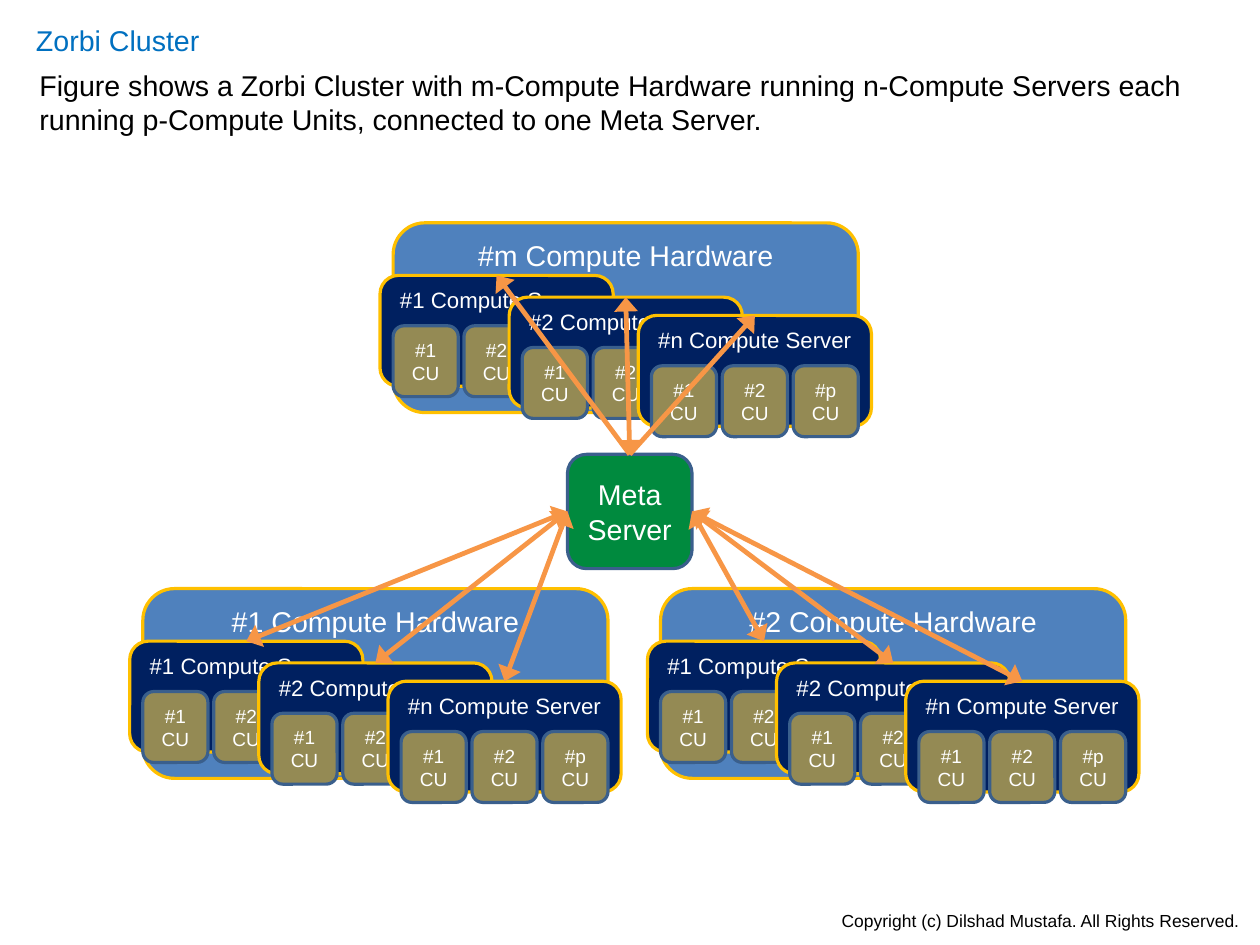
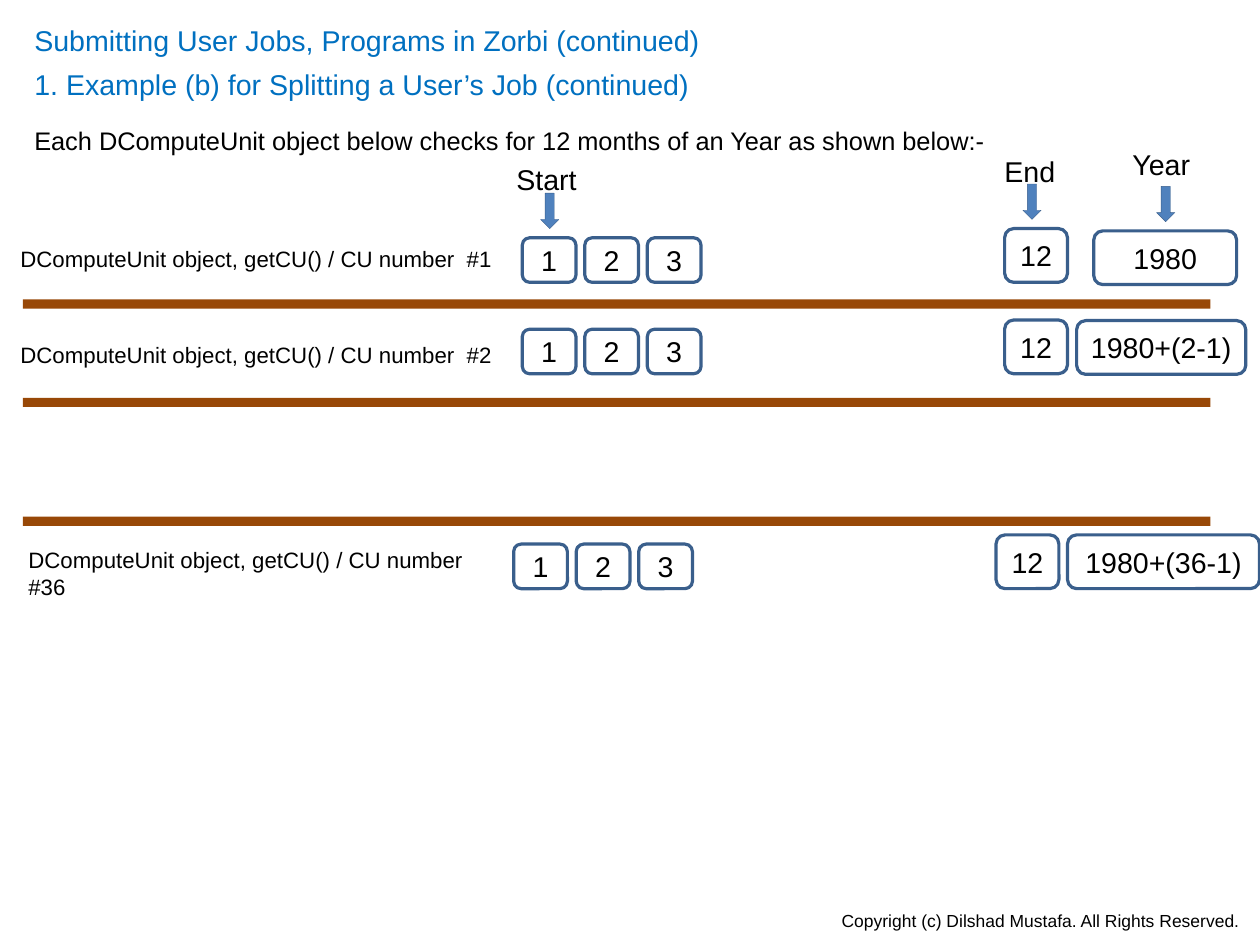
"""Build two slides on a compute cluster and on splitting a job into units."""
from dataclasses import dataclass
from typing import NamedTuple, Optional

from lxml.etree import SubElement
from pptx import Presentation
from pptx.dml.color import RGBColor
from pptx.enum.shapes import MSO_CONNECTOR as Connector, MSO_SHAPE as Preset
from pptx.enum.text import MSO_ANCHOR as Anchor, MSO_AUTO_SIZE as AutoSize, PP_ALIGN as Align
from pptx.oxml.ns import qn
from pptx.util import Emu, Inches, Pt

SLIDE_WIDTH, SLIDE_HEIGHT = Emu(10080625), Emu(7559675)
PITCH = Inches(0.1)


@dataclass(frozen=True)
class Theme:
    """Colours, type sizes and line widths shared by the slides."""
    font: str = "Arial"
    heading: str = "0070C0"
    ink: str = "000000"
    paper: str = "FFFFFF"
    meta: str = "008A3E"
    hardware: str = "4F81BD"
    server: str = "002060"
    unit: str = "948A54"
    gold: str = "FFC000"
    outline: str = "3A5F8C"
    link: str = "F79646"
    divider: str = "984807"
    large: float = 18
    medium: float = 16
    label: float = 14
    small: float = 12
    footer: float = 11
    stroke: float = 2
    hairline: float = 0.25
    link_width: float = 3


THEME = Theme()


class Box(NamedTuple):
    """A place on the grid, in columns and rows."""
    col: float
    row: float
    cols: float
    rows: float

    def emu(self) -> list[Emu]:
        """Return left, top, width and height."""
        return [Emu(round(cells * PITCH)) for cells in self]


class Style(NamedTuple):
    """The look of a shape and its text."""
    fill: Optional[str]
    line: Optional[str]
    ink: str = THEME.paper
    size: float = THEME.large
    anchor: Anchor = Anchor.MIDDLE
    width: float = THEME.stroke


META = Style(THEME.meta, THEME.outline)
HARDWARE = Style(THEME.hardware, THEME.gold, anchor=Anchor.TOP)
SERVER = Style(THEME.server, THEME.gold, size=THEME.label, anchor=Anchor.TOP)
UNIT = Style(THEME.unit, THEME.outline, size=THEME.small)
CELL = Style(None, THEME.outline, THEME.ink)
POINTER = Style(THEME.hardware, THEME.outline, width=THEME.hairline)
DIVIDER = Style(THEME.divider, None)


class Line(NamedTuple):
    """One paragraph of a text."""
    text: str
    size: float = THEME.large
    color: str = THEME.ink
    before: float = 0


class Server(NamedTuple):
    """A compute server, placed relative to its hardware."""
    name: str
    col: float
    row: float
    units: tuple[str, ...]


class Hardware(NamedTuple):
    """A compute hardware and the side of the meta server it joins."""
    name: str
    col: float
    row: float
    meta_side: int


class Marker(NamedTuple):
    """A column heading with an arrow below it."""
    text: str
    box: Box
    arrow_col: float
    arrow_row: float


class JobRow(NamedTuple):
    """One compute unit object with its months and year."""
    number: str
    label: Box
    month_col: float
    month_row: float
    year: str
    year_box: Box


SERVERS = (
    Server("#1", -1.15, 4.6, ("#1", "#2")),
    Server("#2", 10.15, 6.5, ("#1", "#2")),
    Server("#n", 21.45, 8.1, ("#1", "#2", "#p")),
)
CLUSTER = (
    Hardware("#m", 34.4, 19.5, 0),
    Hardware("#2", 57.8, 51.5, 3),
    Hardware("#1", 12.5, 51.5, 1),
)
MARKERS = (
    Marker("Start", Box(44.2, 13.7, 7.3, 4), 47.3, 16.9),
    Marker("End", Box(86.9, 13, 6.5, 4), 89.5, 16.1),
    Marker("Year", Box(98.1, 12.4, 7.1, 4), 101.2, 16.3),
)
JOB_ROWS = (
    JobRow(" #1", Box(0.8, 21, 43.4, 3.4), 45.7, 20.8, "1980", Box(95.7, 20.2, 12.5, 4.7)),
    JobRow(" #2", Box(0.8, 29.35, 43.4, 3.4), 45.7, 28.8, "1980+(2-1)", Box(94.2, 28.05, 14.8, 4.7)),
    JobRow(" #36", Box(1.5, 47.3, 43.4, 5.7), 44.95, 47.6, "1980+(36-1)", Box(93.4, 46.8, 16.8, 4.7)),
)
DIVIDER_ROWS = (26.2, 34.8, 45.2)


def write(frame, lines: list[Line], align: Align = Align.LEFT,
          anchor: Anchor = Anchor.TOP, wrap: bool = True) -> None:
    """Fill a text frame with formatted paragraphs."""
    frame.auto_size = AutoSize.NONE
    frame.word_wrap = wrap
    frame.vertical_anchor = anchor
    for index, line in enumerate(lines):
        paragraph = frame.add_paragraph() if index else frame.paragraphs[0]
        paragraph.text = line.text
        paragraph.alignment = align
        paragraph.space_before = Pt(line.before)
        paragraph.font.name = THEME.font
        paragraph.font.size = Pt(line.size)
        paragraph.font.color.rgb = RGBColor.from_string(line.color)


def place(holder, box: Box) -> None:
    """Move a placeholder to a box."""
    holder.left, holder.top, holder.width, holder.height = box.emu()


def add_text(slide, box: Box, line: Line, wrap: bool = False) -> None:
    """Add a text box with one paragraph."""
    write(slide.shapes.add_textbox(*box.emu()).text_frame, [line], wrap=wrap)


def add_block(shapes, box: Box, style: Style, *texts: str, preset: Preset = Preset.ROUNDED_RECTANGLE):
    """Add a preset shape with centred text."""
    block = shapes.add_shape(preset, *box.emu())
    block.shadow.inherit = False
    if style.fill:
        block.fill.solid()
        block.fill.fore_color.rgb = RGBColor.from_string(style.fill)
    else:
        block.fill.background()
    if style.line:
        block.line.color.rgb = RGBColor.from_string(style.line)
        block.line.width = Pt(style.width)
    else:
        block.line.fill.background()
    if texts:
        lines = [Line(text, style.size, style.ink) for text in texts]
        write(block.text_frame, lines, Align.CENTER, style.anchor)
    return block


def add_link(slide, server, meta, side: int, both_ends: bool) -> None:
    """Join the top of a server to a side of the meta server."""
    link = slide.shapes.add_connector(Connector.STRAIGHT, 0, 0, 0, 0)
    link.begin_connect(server, 0)
    link.end_connect(meta, side)
    link.line.color.rgb = RGBColor.from_string(THEME.link)
    link.line.width = Pt(THEME.link_width)
    stroke = link.line._get_or_add_ln()
    for end in ("a:headEnd", "a:tailEnd") if both_ends else ("a:headEnd",):
        SubElement(stroke, qn(end), type="triangle", w="lg", len="med")
    SubElement(link._element.spPr, qn("a:effectLst"))


def add_page(deck, title: str, title_box: Box, body: list[Line], body_box: Box):
    """Add a slide with title, body and footer."""
    slide = deck.slides.add_slide(deck.slide_layouts[1])
    heading, content = slide.placeholders
    place(heading, title_box)
    write(heading.text_frame, [Line(title, color=THEME.heading)])
    place(content, body_box)
    write(content.text_frame, body)
    for paragraph in content.text_frame.paragraphs:
        properties = paragraph._p.get_or_add_pPr()
        properties.set("marL", "0")
        properties.set("indent", "0")
        properties.insert_element_before(properties.makeelement(qn("a:buNone")), "a:defRPr")
    notice = Line("Copyright (c) Dilshad Mustafa. All Rights Reserved.", THEME.footer)
    add_text(slide, Box(72.65, 79.1, 37.2, 2.9), notice)
    return slide


def add_hardware(slide, hardware: Hardware) -> list:
    """Draw a hardware with its servers and units and return the servers."""
    shapes = slide.shapes.add_group_shape().shapes
    add_block(shapes, Box(hardware.col, hardware.row, 40.7, 16.6), HARDWARE,
              f"{hardware.name} Compute Hardware")
    servers = []
    for server in SERVERS:
        col, row = hardware.col + server.col, hardware.row + server.row
        servers.append(add_block(shapes, Box(col, row, 20.4, 9.7), SERVER,
                                 f"{server.name} Compute Server"))
        for index, unit in enumerate(server.units):
            add_block(shapes, Box(col + 1.15 + 6.2 * index, row + 4.4, 5.7, 6.2), UNIT, f"{unit} CU")
    return servers


def build_cluster(deck) -> None:
    """Build the slide with the cluster diagram."""
    slide = add_page(
        deck, "Zorbi Cluster", Box(2.15, 1.5, 17, 4),
        [Line("Figure shows a Zorbi Cluster with m-Compute Hardware running n-Compute Servers each"),
         Line("running p-Compute Units, connected to one Meta Server.")],
        Box(2.45, 5.4, 107.3, 7.1))
    meta = add_block(slide.shapes, Box(49.65, 39.75, 10.9, 10), META, "Meta", "Server")
    drawn = [(hardware, add_hardware(slide, hardware)) for hardware in CLUSTER]
    for hardware, servers in drawn:
        for index, server in enumerate(servers):
            both_ends = hardware.meta_side != 0 or index == 1
            add_link(slide, server, meta, hardware.meta_side, both_ends)


def add_job_row(slide, job: JobRow) -> None:
    """Draw the label, months and year of one compute unit object."""
    add_text(slide, job.label,
             Line(f"DComputeUnit object, getCU() / CU number {job.number}", THEME.label), wrap=True)
    for index, month in enumerate(("1", "2", "3")):
        add_block(slide.shapes, Box(job.month_col + 5.47 * index, job.month_row, 4.7, 3.9), CELL, month)
    add_block(slide.shapes, Box(job.month_col + 42.2, job.month_row - 0.8, 5.5, 4.7), CELL, "12")
    add_block(slide.shapes, job.year_box, CELL, job.year)


def build_job_split(deck) -> None:
    """Build the slide with the job split into months and years."""
    slide = add_page(
        deck, "Submitting User Jobs, Programs in Zorbi (continued)", Box(2, 1.5, 72.7, 4),
        [Line("1. Example (b) for Splitting a User’s Job (continued)", color=THEME.heading),
         Line("Each DComputeUnit object below checks for 12 months of an Year as shown below:-",
              THEME.medium, before=15)],
        Box(2, 5.35, 86.2, 8.8))
    for marker in MARKERS:
        add_text(slide, marker.box, Line(marker.text))
        add_block(slide.shapes, Box(marker.arrow_col, marker.arrow_row, 1.6, 3.1), POINTER,
                  preset=Preset.DOWN_ARROW)
    for row in DIVIDER_ROWS:
        add_block(slide.shapes, Box(2, row, 103.9, 0.8), DIVIDER, preset=Preset.RECTANGLE)
    for job in JOB_ROWS:
        add_job_row(slide, job)


def main() -> None:
    """Build and save the deck."""
    deck = Presentation()
    deck.slide_width, deck.slide_height = SLIDE_WIDTH, SLIDE_HEIGHT
    build_cluster(deck)
    build_job_split(deck)
    deck.save("out.pptx")


if __name__ == "__main__":
    main()
